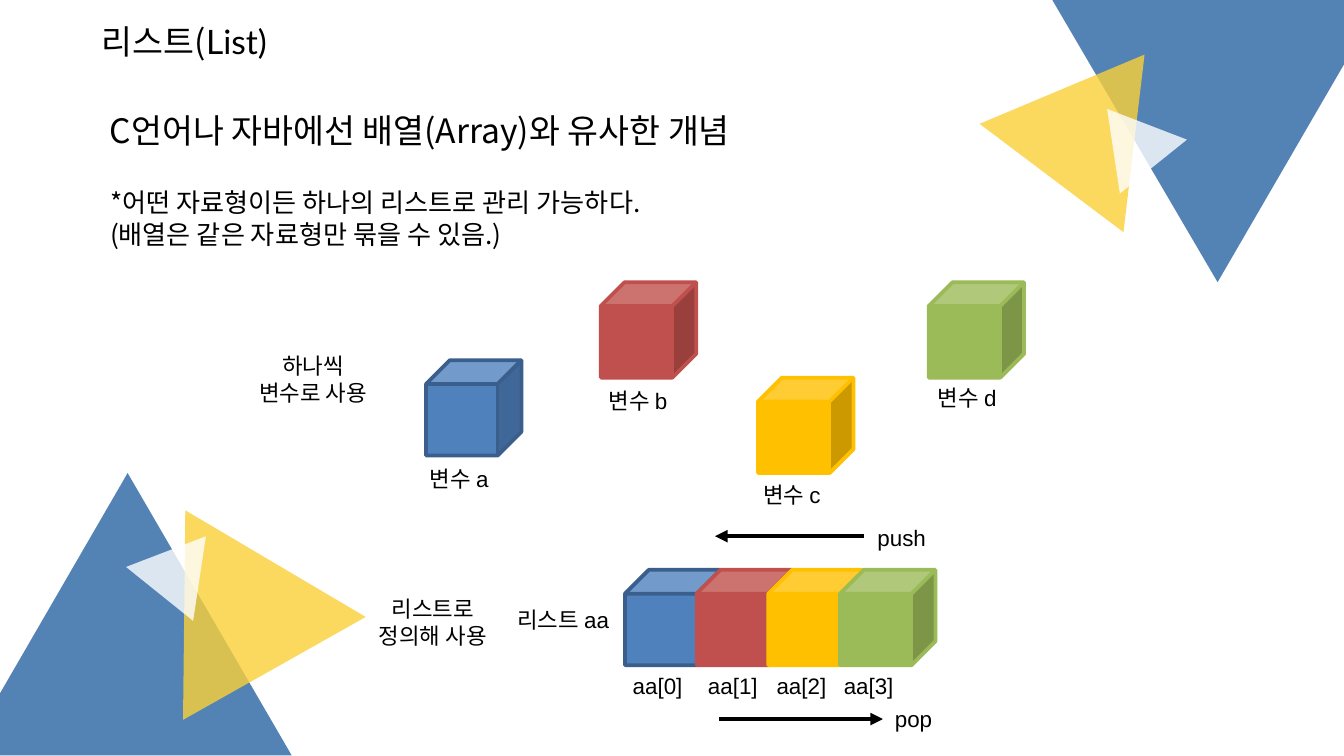
from typing import NamedTuple

from lxml.etree import SubElement
from pptx import Presentation
from pptx.dml.color import RGBColor
from pptx.enum.shapes import MSO_CONNECTOR as Connector, MSO_SHAPE as Preset
from pptx.enum.text import MSO_AUTO_SIZE as AutoSize, PP_ALIGN as Align
from pptx.oxml.ns import qn
from pptx.util import Inches, Pt

COLORS = {
    "navy": "2963A3", "gold": "FAD038", "white": "FFFFFF", "black": "000000",
    "blue": "4F81BD", "blue edge": "3A5F8C", "red": "C0504D",
    "amber": "FFC000", "green": "9BBB59",
}
KOREAN, LATIN, BODY = "Noto Sans CJK KR", "Lato", "Arial"
CUBE_SIZE = 0.71
LIST_LEFT, LIST_TOP, LIST_STEP = 4.65, 4.24, 1.6 / 3


class Triangle(NamedTuple):
    left: float
    top: float
    width: float
    height: float
    rotation: float
    color: str


class Variable(NamedTuple):
    name: str
    color: str
    edge: str
    left: float
    top: float
    label_left: float
    label_top: float


CORNERS = [
    [(0.95, 3.52), (2.17, 5.62), (0, 5.62), (0, 5.16)],
    [(7.83, 0), (10, 0), (10, 0.48), (9.06, 2.1)],
]
TRIANGLES = [
    Triangle(7.5, 0.29, 1.34, 1.15, 37, "gold"),
    Triangle(0.93, 3.71, 1.56, 1.35, 330.6, "gold"),
    Triangle(1.04, 3.93, 0.64, 0.55, 38.8, "white"),
    Triangle(8.09, 0.75, 0.64, 0.55, 321.2, "white"),
]
VARIABLES = [
    Variable("a", "blue", "blue edge", 3.17, 2.68, 3.1, 3.41),
    Variable("b", "red", "red", 4.47, 2.1, 4.43, 2.83),
    Variable("c", "amber", "amber", 5.64, 2.81, 5.58, 3.53),
    Variable("d", "green", "green", 6.91, 2.1, 6.88, 2.81),
]


def rgb(color: str) -> RGBColor:
    return RGBColor.from_string(COLORS[color])


def fill_translucent(shape, color: str) -> None:
    shape.shadow.inherit = False
    shape.fill.solid()
    shape.fill.fore_color.rgb = rgb(color)
    shape.line.fill.background()
    solid = shape._element.spPr.find(qn("a:solidFill"))
    SubElement(solid[0], qn("a:alpha"), val="80000")


def add_corner(slide, points: list[tuple[float, float]]) -> None:
    start, *rest = [(Inches(x), Inches(y)) for x, y in points]
    builder = slide.shapes.build_freeform(*start)
    builder.add_line_segments(rest, close=True)
    fill_translucent(builder.convert_to_shape(), "navy")


def add_triangle(slide, part: Triangle) -> None:
    triangle = slide.shapes.add_shape(
        Preset.ISOSCELES_TRIANGLE, Inches(part.left), Inches(part.top),
        Inches(part.width), Inches(part.height))
    triangle.rotation = part.rotation
    fill_translucent(triangle, part.color)


def add_cube(slide, variable: Variable, left: float, top: float) -> None:
    cube = slide.shapes.add_shape(
        Preset.CUBE, Inches(left), Inches(top), Inches(CUBE_SIZE), Inches(CUBE_SIZE))
    cube.shadow.inherit = False
    cube.fill.solid()
    cube.fill.fore_color.rgb = rgb(variable.color)
    cube.line.color.rgb = rgb(variable.edge)
    cube.line.width = Pt(2)


def add_arrow(slide, start: float, end: float, y: float) -> None:
    arrow = slide.shapes.add_connector(
        Connector.STRAIGHT, Inches(start), Inches(y), Inches(end), Inches(y))
    arrow.line.color.rgb = rgb("black")
    arrow.line.width = Pt(2.25)
    properties = arrow._element.spPr
    SubElement(properties.find(qn("a:ln")), qn("a:tailEnd"), type="triangle")
    SubElement(properties, qn("a:effectLst"))


def add_text(slide, lines: list, left: float, top: float, width: float, height: float,
             *, size: float = 12, font: str = BODY, align: Align = Align.LEFT,
             tabs: tuple[float, ...] = ()) -> None:
    """Each line is a string, or a list of (text, font) runs."""
    box = slide.shapes.add_textbox(
        Inches(left), Inches(top), Inches(width), Inches(height))
    frame = box.text_frame
    frame.word_wrap = True
    frame.auto_size = AutoSize.SHAPE_TO_FIT_TEXT
    for i, line in enumerate(lines):
        paragraph = frame.add_paragraph() if i else frame.paragraphs[0]
        paragraph.alignment = align
        if tabs:
            stops = SubElement(paragraph._p.get_or_add_pPr(), qn("a:tabLst"))
            for stop in tabs:
                SubElement(stops, qn("a:tab"), pos=str(Inches(stop)), algn="l")
        for text, face in [(line, font)] if isinstance(line, str) else line:
            run = paragraph.add_run()
            run.text = text
            run.font.size = Pt(size)
            run.font.name = face
            run.font.color.rgb = rgb("black")


def main() -> None:
    prs = Presentation()
    prs.slide_width = Inches(10)
    prs.slide_height = Inches(10 * 9 / 16)
    slide = prs.slides.add_slide(prs.slide_layouts[6])

    # Corner decoration
    for points in CORNERS:
        add_corner(slide, points)
    for triangle in TRIANGLES:
        add_triangle(slide, triangle)

    # Title and explanation
    add_text(slide, [[("리스트(", KOREAN), ("List)", LATIN)]],
             0.66, 0.11, 2.41, 0.4, size=18)
    add_text(slide, ["C언어나 자바에선 배열(Array)와 유사한 개념"],
             0.72, 0.77, 5.34, 0.4, size=18, font=KOREAN)
    add_text(slide, ["*어떤 자료형이든 하나의 리스트로 관리 가능하다.",
                     "(배열은 같은 자료형만 묶을 수 있음.)"],
             0.72, 1.34, 5.62, 0.57, size=14, font=KOREAN)

    # Separate variables
    add_text(slide, ["하나씩", "변수로 사용"], 1.58, 2.57, 1.5, 0.5, align=Align.CENTER)
    for variable in VARIABLES:
        add_cube(slide, variable, variable.left, variable.top)
        add_text(slide, [f"변수 {variable.name}"],
                 variable.label_left, variable.label_top, 0.7, 0.3)

    # The same values in one list
    add_text(slide, ["리스트로", "정의해 사용"], 2.58, 4.38, 1.28, 0.5, align=Align.CENTER)
    add_text(slide, ["리스트 aa"], 3.55, 4.46, 1.28, 0.3, align=Align.CENTER)
    for i, variable in enumerate(VARIABLES):
        add_cube(slide, variable, LIST_LEFT + LIST_STEP * i, LIST_TOP)
    indexes = "\t".join(f"aa[{i}]" for i in range(len(VARIABLES)))
    add_text(slide, [indexes], 4.61, 4.95, 2.43, 0.3, tabs=(0.56, 1.07, 1.57))

    # Push and pop
    add_arrow(slide, 6.43, 5.32, 3.99)
    add_text(slide, ["push"], 6.43, 3.85, 0.82, 0.3)
    add_arrow(slide, 5.35, 6.57, 5.35)
    add_text(slide, ["pop"], 6.56, 5.2, 0.82, 0.3)

    prs.save("out.pptx")


if __name__ == "__main__":
    main()
